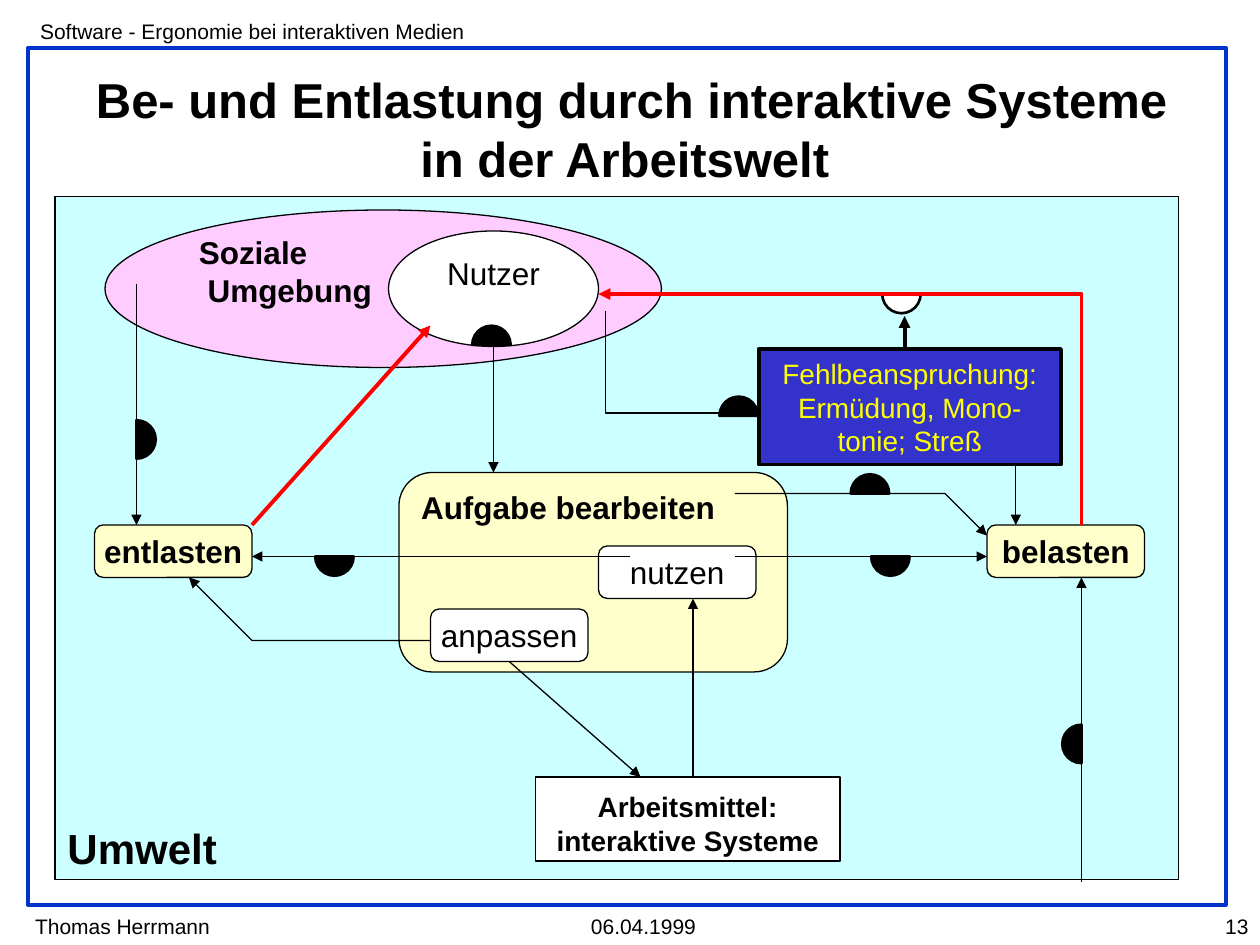
from dataclasses import dataclass

from pptx import Presentation
from pptx.dml.color import RGBColor
from pptx.enum.shapes import MSO_CONNECTOR, MSO_SHAPE
from pptx.enum.text import MSO_ANCHOR, MSO_AUTO_SIZE, PP_ALIGN
from pptx.oxml.ns import qn
from pptx.oxml.xmlchemy import OxmlElement
from pptx.util import Emu, Inches, Pt

RECT, ROUND = MSO_SHAPE.RECTANGLE, MSO_SHAPE.ROUNDED_RECTANGLE
OVAL, CHORD = MSO_SHAPE.OVAL, MSO_SHAPE.CHORD
STRAIGHT = MSO_CONNECTOR.STRAIGHT
LEFT, CENTER, RIGHT = PP_ALIGN.LEFT, PP_ALIGN.CENTER, PP_ALIGN.RIGHT
TOP, MIDDLE, BOTTOM = MSO_ANCHOR.TOP, MSO_ANCHOR.MIDDLE, MSO_ANCHOR.BOTTOM
BOTTOM_SITE = 2

WIDTH, HEIGHT = Inches(10), Inches(7.5)
COLUMNS = 120  # square cells, so the slide has 90 rows
DISC = 3.66
# Start angle of each half disc, clockwise from the right
FACING = {"down": 0, "left": 90, "up": 180, "right": 270}


@dataclass(frozen=True)
class Theme:
    font: str = "Arial"
    black: str = "000000"
    white: str = "FFFFFF"
    red: str = "FF0000"
    frame: str = "0033CC"
    world: str = "CCFFFF"
    social: str = "FFCCFF"
    task: str = "FFFFCC"
    strain: str = "3333CC"
    strain_text: str = "FFFF00"
    title: int = 28
    heading: int = 24
    label: int = 18
    detail: int = 16
    footer: int = 12
    thin: float = 0.75
    medium: float = 1.5
    thick: float = 2.25


THEME = Theme()


def cells(*counts):
    """Turn counts of grid cells into lengths."""
    return [Emu(round(count * WIDTH / COLUMNS)) for count in counts]


def rgb(color):
    return RGBColor.from_string(color)


def write(box, text, size=THEME.label, color=THEME.black, bold=False,
          align=CENTER, anchor=MIDDLE, wrap=False, top=0.05):
    """Fill a shape with text, one paragraph per line."""
    frame = box.text_frame
    frame.auto_size = MSO_AUTO_SIZE.NONE
    frame.word_wrap = wrap
    frame.vertical_anchor = anchor
    frame.margin_left = frame.margin_right = Inches(0.1)
    frame.margin_top, frame.margin_bottom = Inches(top), Inches(0.05)
    frame.text = text
    for para in frame.paragraphs:
        para.alignment = align
        para.font.name = THEME.font
        para.font.size = Pt(size)
        para.font.bold = bold
        para.font.color.rgb = rgb(color)


def outline(shape, color, width):
    shape.line.color.rgb = rgb(color)
    shape.line.width = Pt(width)


def add_node(page, kind, area, fill=None, text=None, line=THEME.black,
             width=THEME.thin, **format):
    node = page.shapes.add_shape(kind, *cells(*area))
    node.shadow.inherit = False
    outline(node, line, width)
    if fill:
        node.fill.solid()
        node.fill.fore_color.rgb = rgb(fill)
    else:
        node.fill.background()
    if text:
        write(node, text, **format)
    return node


def add_label(page, area, text, **format):
    box = page.shapes.add_textbox(*cells(*area))
    write(box, text, size=THEME.footer, anchor=TOP, **format)


def add_half_disc(page, x, y, facing, fill=THEME.black):
    """Place a half disc whose flat side is centred on x, y."""
    area = (x - DISC / 2, y - DISC / 2, DISC, DISC)
    disc = add_node(page, CHORD, area, fill, width=THEME.medium)
    start = FACING[facing]
    for index, angle in enumerate((start, (start + 180) % 360)):
        disc.adjustments[index] = angle * 0.6  # 60000 units per degree


def add_arrowhead(shape):
    head = OxmlElement("a:tailEnd")
    head.set("type", "triangle")
    shape._element.spPr.find(qn("a:ln")).append(head)


def add_arrow(page, start, end, color=THEME.black, width=THEME.thin, source=None):
    arrow = page.shapes.add_connector(STRAIGHT, *cells(*start, *end))
    if source:
        arrow.begin_connect(source, BOTTOM_SITE)
    outline(arrow, color, width)
    add_arrowhead(arrow)
    arrow._element.spPr.append(OxmlElement("a:effectLst"))


def add_bent_arrow(page, points, color=THEME.black, width=THEME.thin):
    corners = [cells(*point) for point in points]
    builder = page.shapes.build_freeform(*corners[0])
    builder.add_line_segments(corners[1:], close=False)
    arrow = builder.convert_to_shape()
    arrow.shadow.inherit = False
    arrow.fill.background()
    outline(arrow, color, width)
    add_arrowhead(arrow)


def add_frame(page):
    add_node(page, RECT, (2.64, 4.56, 114.12, 81.6), line=THEME.frame,
             width=THEME.thick)
    add_label(page, (2.16, 86.4, 19.1, 3.6), "Thomas Herrmann", align=LEFT)
    add_label(page, (2.64, 1.2, 44.4, 3.6),
              "Software - Ergonomie bei interaktiven Medien", align=LEFT)
    add_label(page, (55.1, 86.4, 12.4, 3.6), "06.04.1999", align=LEFT)
    add_label(page, (108.6, 86.4, 11.5, 3.6), "13", align=RIGHT, wrap=True)


def add_title(page):
    title = page.shapes.title
    title.left, title.top, title.width, title.height = cells(4, 6, 111, 12.5)
    write(title, " Be- und Entlastung durch interaktive Systeme in der Arbeitswelt",
          size=THEME.title, bold=True, wrap=True)


def add_nodes(page):
    """Draw all nodes and return the one that an arrow is joined to."""
    add_node(page, RECT, (5.25, 18.75, 107, 65), THEME.world, "Umwelt",
             size=THEME.heading, bold=True, align=LEFT, anchor=BOTTOM)
    add_node(page, OVAL, (10, 20, 53, 15), THEME.social, "Soziale\n Umgebung",
             bold=True, align=LEFT, anchor=TOP, top=0)
    add_node(page, RECT, (51, 74, 29, 8), THEME.white,
             "Arbeitsmittel:\ninteraktive Systeme",
             size=THEME.detail, bold=True, anchor=TOP, top=0.1)
    for x, text in ((9, "entlasten"), (94, "belasten")):
        add_node(page, ROUND, (x, 50, 15, 5), THEME.task, text, bold=True)
    add_node(page, ROUND, (38, 45, 37, 19), THEME.task, "Aufgabe bearbeiten",
             bold=True, align=LEFT, anchor=TOP)
    add_node(page, ROUND, (57, 52, 15, 5), THEME.white, "nutzen")
    adapt = add_node(page, ROUND, (41, 58, 15, 5), THEME.white, "anpassen")
    add_node(page, OVAL, (37, 22, 20, 11), THEME.white, "Nutzer", anchor=TOP)
    return adapt


def add_relations(page, adapt):
    for start, end in (
        ((13, 27), (13, 50)), ((47, 33), (47, 45)), ((60, 53), (24, 53)),
        ((70, 53), (94, 53)), ((66, 74), (66, 57)), ((103, 84), (103, 55)),
    ):
        add_arrow(page, start, end)
    add_arrow(page, (49, 63), (61, 74), source=adapt)
    add_arrow(page, (24, 50), (41, 31), THEME.red, THEME.thick)
    for points in (
        ((70, 47), (90, 47), (94, 51)),
        ((41, 61), (24, 61), (18, 55)),
        ((57.65, 29.65), (57.65, 39.35), (96.75, 39.35), (96.75, 50)),
    ):
        add_bent_arrow(page, points)
    for x, y, facing in (
        (46.8, 32.85, "up"), (31.85, 53, "down"), (13, 41.85, "right"),
        (82.85, 47, "up"), (84.8, 53, "down"), (103, 70.85, "left"),
        (70.35, 39.6, "up"),
    ):
        add_half_disc(page, x, y, facing)
    add_half_disc(page, 85.85, 28, "down", THEME.white)
    add_arrow(page, (86.15, 36.1), (86.15, 30.1), width=THEME.thick)
    add_bent_arrow(page, ((103, 50), (103, 28), (57, 28)), THEME.red, THEME.thick)


def main():
    deck = Presentation()
    deck.slide_width, deck.slide_height = WIDTH, HEIGHT
    page = deck.slides.add_slide(deck.slide_layouts[5])
    add_frame(page)
    add_title(page)
    adapt = add_nodes(page)
    add_relations(page, adapt)
    add_node(page, RECT, (72.25, 33.25, 28.8, 11), THEME.strain,
             "Fehlbeanspruchung:\nErmüdung, Mono-\ntonie; Streß",
             width=THEME.thick, size=THEME.detail, color=THEME.strain_text)
    deck.save("out.pptx")


if __name__ == "__main__":
    main()
